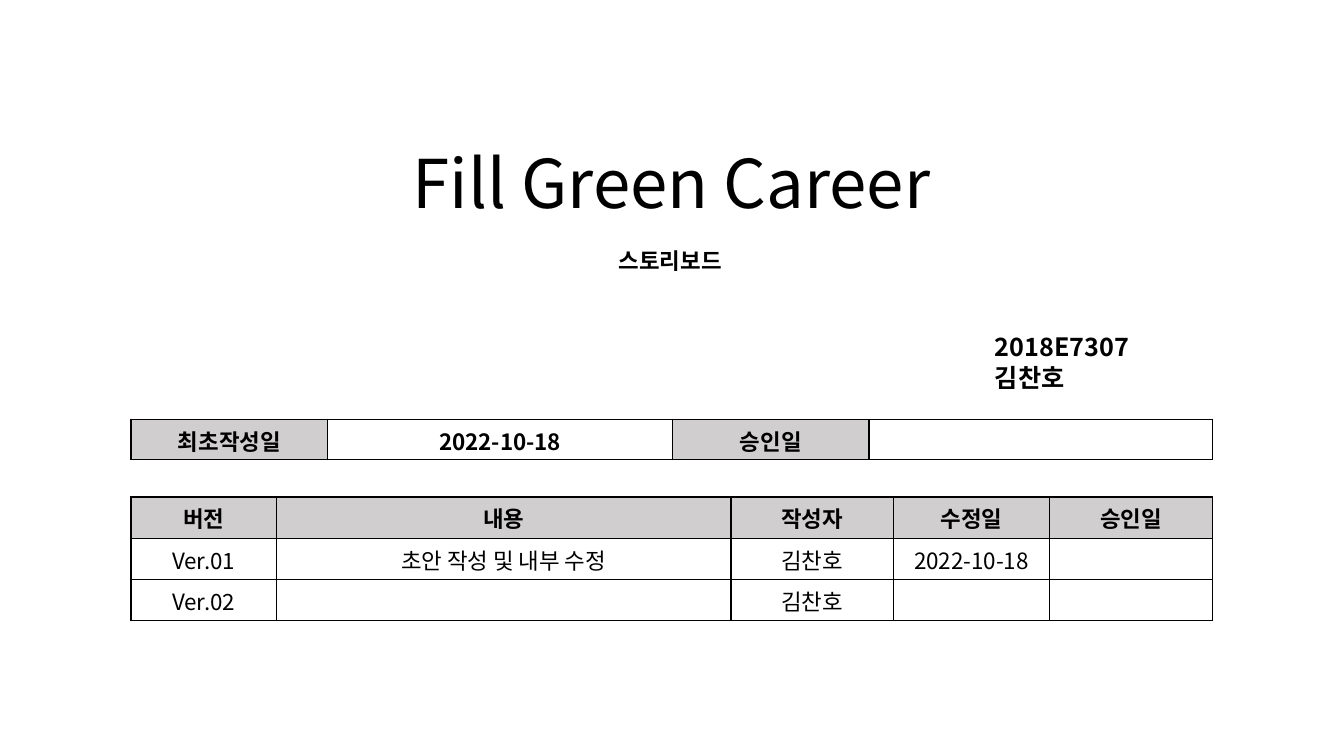
import pptx
import pptx.dml.color
import pptx.enum.text
import pptx.oxml
import pptx.oxml.ns
import pptx.util
from pptx.util import Inches

FONT = "Noto Sans CJK KR"
COLORS = {"text": "000000", "header": "D0CECE", "body": "FFFFFF", "border": "000000"}
MIDDLE = pptx.enum.text.MSO_ANCHOR.MIDDLE
TOP = pptx.enum.text.MSO_ANCHOR.TOP
CENTER = pptx.enum.text.PP_ALIGN.CENTER


def format_run(r, size, bold):
    """Apply the slide font to Latin and Korean characters alike."""
    r.font.name = FONT
    r.font.size = pptx.util.Pt(size)
    r.font.bold = bold
    r.font.color.rgb = pptx.dml.color.RGBColor.from_string(COLORS["text"])
    ea = pptx.oxml.parse_xml(f'<a:ea {pptx.oxml.ns.nsdecls("a")} typeface="{FONT}"/>')
    r.font._element.find(pptx.oxml.ns.qn("a:latin")).addnext(ea)


def format_cell(cell, text, header, bold, anchor):
    cell.vertical_anchor = anchor
    p = cell.text_frame.paragraphs[0]
    p.alignment = CENTER
    r = p.add_run()
    r.text = text
    format_run(r, 16, bold)
    tc_pr = cell._tc.get_or_add_tcPr()
    for side in ("lnL", "lnR", "lnT", "lnB"):
        tc_pr.append(pptx.oxml.parse_xml(
            f'<a:{side} {pptx.oxml.ns.nsdecls("a")} w="12700"><a:solidFill>'
            f'<a:srgbClr val="{COLORS["border"]}"/></a:solidFill></a:{side}>'))
    cell.fill.solid()
    fill = COLORS["header" if header else "body"]
    cell.fill.fore_color.rgb = pptx.dml.color.RGBColor.from_string(fill)


prs = pptx.Presentation()
prs.slide_width = Inches(13.33)
prs.slide_height = Inches(7.5)
s = prs.slides.add_slide(prs.slide_layouts[5])

# Title
title = s.shapes.title
title.left, title.top = Inches(3.98), Inches(1.35)
title.width, title.height = Inches(5.36), Inches(0.91)
tf = title.text_frame
tf.text = "Fill Green Career"
tf.word_wrap = True
tf.vertical_anchor = TOP
format_run(tf.paragraphs[0].runs[0], 48, False)

# Subtitle and author
labels = [
    ("스토리보드", 6.04, 2.4, 1.25, 0.37, 16),
    ("2018E7307\n김찬호", 9.77, 3.24, 2.26, 0.69, 18),
]
for text, left, top, width, height, size in labels:
    sp = s.shapes.add_textbox(Inches(left), Inches(top), Inches(width), Inches(height))
    tf = sp.text_frame
    tf.text = text
    tf.word_wrap = len(tf.paragraphs) > 1
    for p in tf.paragraphs:
        format_run(p.runs[0], size, True)

# Date table: labels and values alternate; history table: header row on top
date_rows = [["최초작성일", "2022-10-18", "승인일", ""]]
history_rows = [
    ["버전", "내용", "작성자", "수정일", "승인일"],
    ["Ver.01", "초안 작성 및 내부 수정", "김찬호", "2022-10-18", ""],
    ["Ver.02", "", "김찬호", "", ""],
]
tables = [
    (date_rows, 4.16, 0.37, [1.95, 3.42, 1.95, 3.41]),
    (history_rows, 4.93, 0.41, [1.44, 4.51, 1.61, 1.55, 1.62]),
]
for rows, top, row_height, widths in tables:
    table = s.shapes.add_table(
        len(rows), len(widths), Inches(1.3), Inches(top),
        Inches(sum(widths)), Inches(row_height * len(rows))).table
    table.first_row = False
    table.horz_banding = False
    for column, width in zip(table.columns, widths):
        column.width = Inches(width)
    for i, row in enumerate(rows):
        table.rows[i].height = Inches(row_height)
        for j, text in enumerate(row):
            header = j % 2 == 0 if rows is date_rows else i == 0
            format_cell(table.cell(i, j), text, header, i == 0, MIDDLE if i else TOP)

prs.save("out.pptx")
